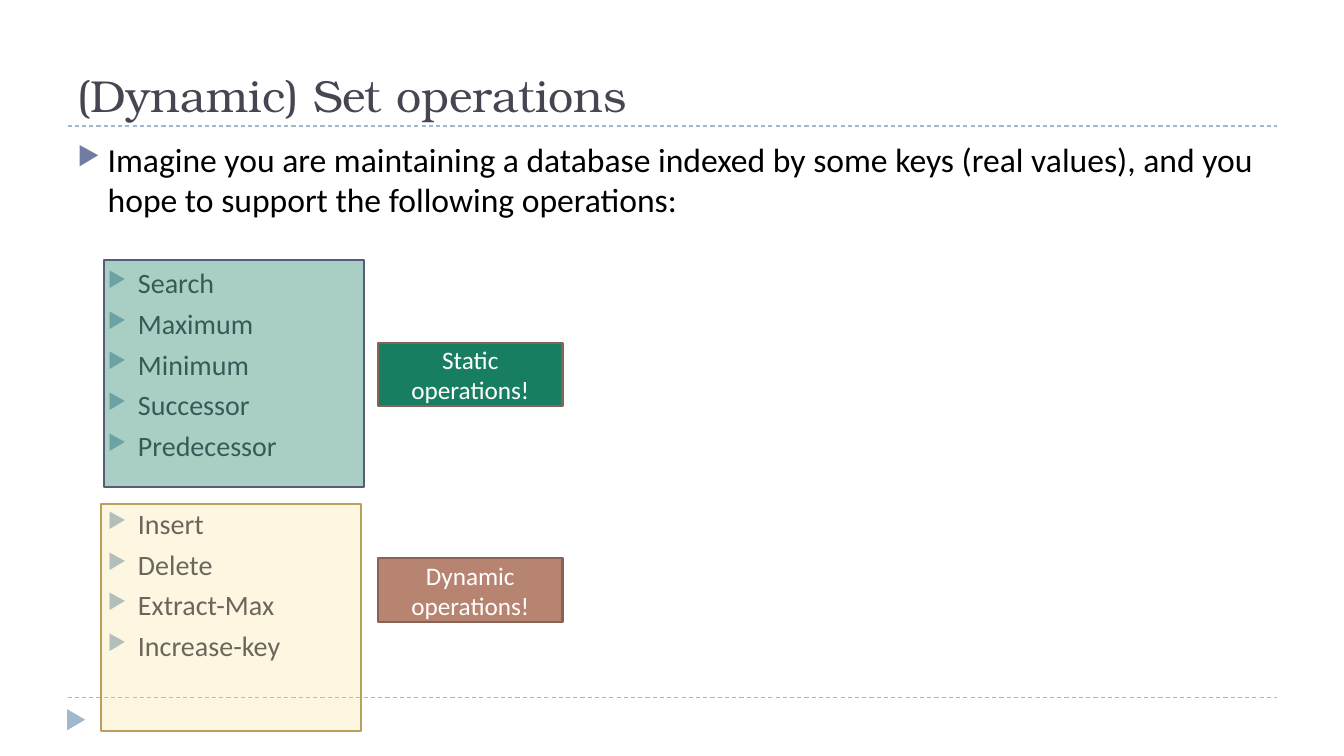
from dataclasses import dataclass

from lxml import etree
from pptx import Presentation
from pptx.dml.color import RGBColor
from pptx.enum.dml import MSO_LINE
from pptx.enum.shapes import MSO_CONNECTOR, MSO_SHAPE
from pptx.enum.text import MSO_ANCHOR, PP_ALIGN
from pptx.oxml.ns import qn
from pptx.util import Inches, Pt


@dataclass(frozen=True)
class Theme:
    title_font: str = "TeX Gyre Bonum"
    body_font: str = "Calibri"
    title_size: int = 32
    intro_size: int = 24
    item_size: int = 20
    label_size: int = 18
    ink: str = "464653"
    black: str = "000000"
    white: str = "FFFFFF"
    indigo: str = "727CA3"
    sky: str = "9FB8CD"
    slate: str = "545C79"
    green: str = "187E61"
    yellow: str = "FADA7A"
    gold: str = "B9A15A"
    clay: str = "B88472"
    brown: str = "886254"


def color(value):
    return RGBColor.from_string(value)


def add_bullet(paragraph, bullet_color, left):
    """Give the paragraph a triangle bullet with a hanging indent; left is in inches."""
    properties = paragraph._p.get_or_add_pPr()
    properties.set("marL", str(Inches(left)))
    properties.set("indent", str(Inches(-0.3)))
    holder = etree.SubElement(properties, qn("a:buClr"))
    etree.SubElement(holder, qn("a:srgbClr"), val=bullet_color)
    etree.SubElement(properties, qn("a:buSzPct"), val="76000")
    etree.SubElement(properties, qn("a:buChar"), char="▶")


def write(frame, text, *, font, size, ink, bullet=None, left=0.3, before=0,
          align=PP_ALIGN.LEFT):
    """Fill the first paragraph of the frame, or append one if it is in use."""
    paragraph = frame.paragraphs[0]
    if paragraph.runs:
        paragraph = frame.add_paragraph()
    paragraph.alignment = align
    paragraph.space_before = Pt(before)
    if bullet:
        add_bullet(paragraph, bullet, left)
    run = paragraph.add_run()
    run.text = text
    run.font.name = font
    run.font.size = Pt(size)
    run.font.color.rgb = color(ink)


class SlideBuilder:
    def __init__(self, slide, theme):
        self.slide = slide
        self.theme = theme

    def rule(self, top):
        line = self.slide.shapes.add_connector(
            MSO_CONNECTOR.STRAIGHT, Inches(0.67), Inches(top), Inches(12.67), Inches(top))
        line.line.color.rgb = color(self.theme.sky)
        line.line.width = Pt(0.75)
        line.line.dash_style = MSO_LINE.DASH
        etree.SubElement(line._element.spPr, qn("a:effectLst"))

    def text_box(self, top, height, anchor=MSO_ANCHOR.TOP):
        box = self.slide.shapes.add_textbox(
            Inches(0.67), Inches(top), Inches(12), Inches(height))
        box.text_frame.word_wrap = True
        box.text_frame.vertical_anchor = anchor
        return box.text_frame

    def shape(self, kind, left, top, width, height, fill, outline=None, opacity=100):
        shape = self.slide.shapes.add_shape(
            kind, Inches(left), Inches(top), Inches(width), Inches(height))
        shape.shadow.inherit = False
        shape.fill.solid()
        shape.fill.fore_color.rgb = color(fill)
        if opacity < 100:
            fill_color = shape._element.spPr.find(qn("a:solidFill"))[0]
            etree.SubElement(fill_color, qn("a:alpha"), val=str(opacity * 1000))
        if outline:
            shape.line.color.rgb = color(outline)
            shape.line.width = Pt(1.5)
        else:
            shape.line.fill.background()
        return shape

    def highlight(self, left, top, fill, outline, opacity):
        self.shape(MSO_SHAPE.RECTANGLE, left, top, 2.58, 2.25, fill, outline, opacity)

    def label(self, top, text, fill):
        theme = self.theme
        shape = self.shape(MSO_SHAPE.RECTANGLE, 3.75, top, 1.83, 0.63, fill, theme.brown)
        frame = shape.text_frame
        frame.word_wrap = True
        frame.vertical_anchor = MSO_ANCHOR.MIDDLE
        write(frame, text, font=theme.body_font, size=theme.label_size,
              ink=theme.white, align=PP_ALIGN.CENTER)

    def operations(self, frame, names, gap):
        """List the names as bullets, with a gap in points above the first."""
        theme = self.theme
        for index, name in enumerate(names):
            write(frame, name, font=theme.body_font, size=theme.item_size, ink=theme.ink,
                  bullet=theme.sky, left=0.6, before=5 if index else gap)


def main():
    presentation = Presentation()
    presentation.slide_width = Inches(13.33)
    presentation.slide_height = Inches(7.5)
    slide = presentation.slides.add_slide(presentation.slide_layouts[6])
    theme = Theme()
    builder = SlideBuilder(slide, theme)

    for top in (6.92, 1.25):
        builder.rule(top)
    marker = builder.shape(MSO_SHAPE.ISOSCELES_TRIANGLE, 0.65, 7.05, 0.21, 0.18, theme.sky)
    marker.rotation = 90

    body = builder.text_box(1.33, 5.4)
    write(body, "Imagine you are maintaining a database indexed by some keys "
          "(real values), and you hope to support the following operations:",
          font=theme.body_font, size=theme.intro_size, ink=theme.black, bullet=theme.indigo)
    builder.operations(
        body, ["Search", "Maximum", "Minimum", "Successor", "Predecessor"], gap=33)
    builder.operations(body, ["Insert", "Delete", "Extract-Max", "Increase-key"], gap=32)

    title = builder.text_box(0.17, 1.08, MSO_ANCHOR.BOTTOM)
    write(title, "(Dynamic) Set operations",
          font=theme.title_font, size=theme.title_size, ink=theme.ink)

    builder.highlight(1.03, 2.58, theme.green, theme.slate, opacity=37)
    builder.label(3.4, "Static operations!", theme.green)
    builder.highlight(1, 5, theme.yellow, theme.gold, opacity=21)
    builder.label(5.54, "Dynamic operations!", theme.clay)

    presentation.save("out.pptx")


if __name__ == "__main__":
    main()
